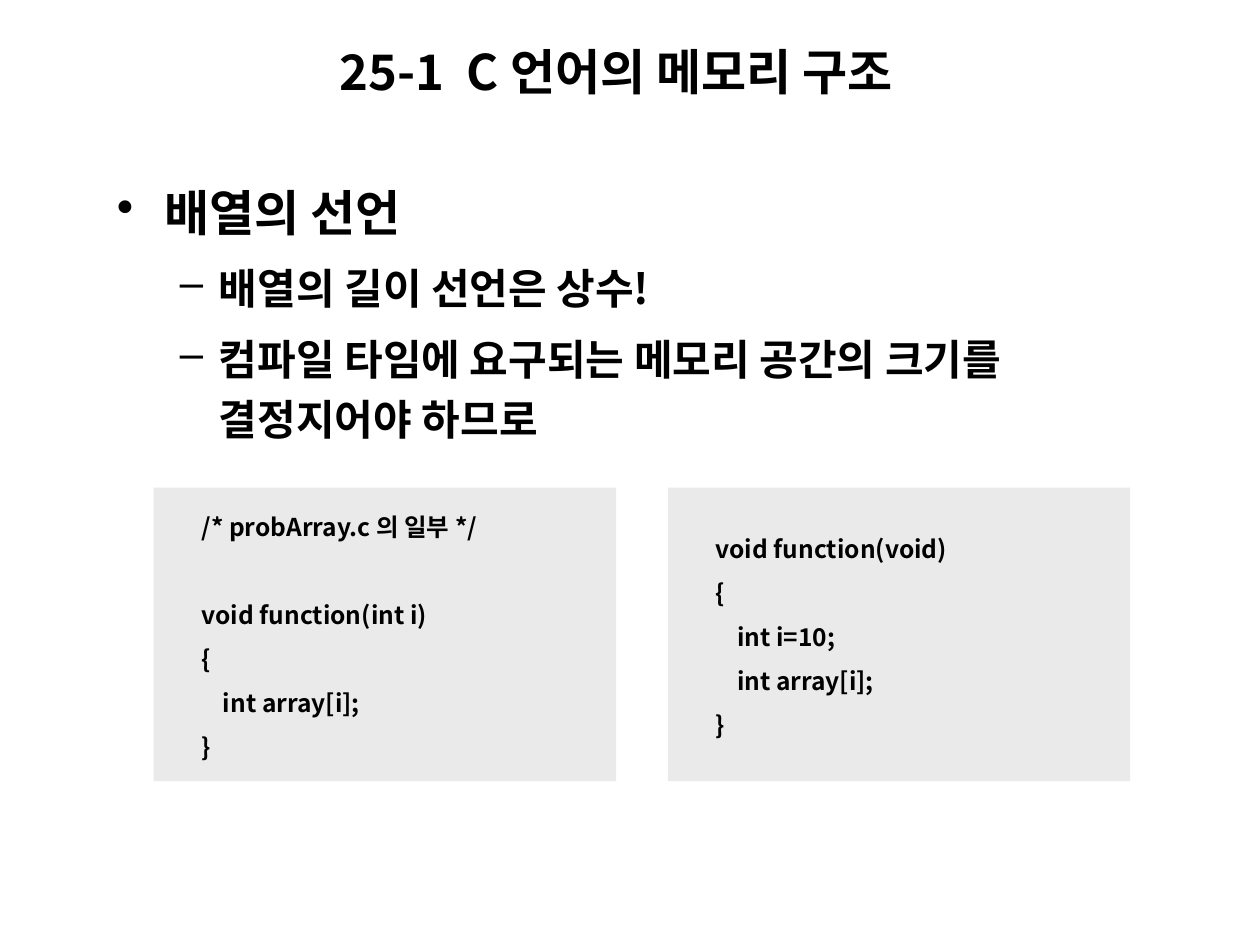
from pptx import Presentation
from pptx.dml.color import RGBColor
from pptx.enum.shapes import MSO_SHAPE
from pptx.enum.text import MSO_ANCHOR, PP_ALIGN
from pptx.oxml.ns import qn
from pptx.util import Inches, Pt
from lxml import etree

BLACK = RGBColor(0x00, 0x00, 0x00)
GRAY = RGBColor(0xEA, 0xEA, 0xEA)
FONT = "Noto Sans CJK KR"


def write(p, text, size, **fmt):
    """Fill a paragraph with bold text and set its format values."""
    p.text = text
    p.alignment = PP_ALIGN.LEFT
    for name, value in fmt.items():
        setattr(p, name, value)
    for r in p.runs:
        for name, value in dict(size=Pt(size), bold=True, name=FONT).items():
            setattr(r.font, name, value)
        r.font.color.rgb = BLACK
        etree.SubElement(r._r.get_or_add_rPr(), qn("a:ea"), typeface=FONT)


def indent(p, left, hanging=0, bullet=None):
    """Set the left margin and, if given, a hanging bullet."""
    pPr = p._p.get_or_add_pPr()
    pPr.set("marL", str(Inches(left)))
    pPr.set("indent", str(Inches(-hanging)))
    if bullet:
        color = etree.SubElement(pPr, qn("a:buClr"))
        etree.SubElement(color, qn("a:srgbClr"), val=str(BLACK))
        etree.SubElement(pPr, qn("a:buChar"), char=bullet)


prs = Presentation()
prs.slide_width, prs.slide_height = Inches(10), Inches(7.5)
s = prs.slides.add_slide(prs.slide_layouts[6])

# Bulleted list
tf = s.shapes.add_textbox(Inches(0.83), Inches(1.31), Inches(8.5), Inches(2.27)).text_frame
tf.word_wrap = True
points = [
    ("배열의 선언", 28, 0, 7, 0.38, 0.38, "•"),
    ("배열의 길이 선언은 상수!", 24, 1, 6, 0.81, 0.31, "–"),
    ("컴파일 타임에 요구되는 메모리 공간의 크기를 \v결정지어야 하므로", 24, 1, 6, 0.81, 0.31, "–"),
]
for i, (text, size, level, before, left, hanging, bullet) in enumerate(points):
    p = tf.add_paragraph() if i else tf.paragraphs[0]
    write(p, text, size, level=level, line_spacing=1.2, space_before=Pt(before))
    indent(p, left, hanging, bullet)

# Code panels: text, left indent, space before in points
panels = [
    [("/* probArray.c 의 일부 */", 0, 0), ("void function(int i)", 0, 25),
     ("{", 0, 0), ("int array[i];", 0.17, 0), ("}", 0, 0)],
    [("void function(void)", 0, 0), ("{", 0, 0), ("int i=10;", 0.17, 0),
     ("int array[i];", 0.17, 0), ("}", 0, 0)],
]
for col, lines in enumerate(panels):
    sp = s.shapes.add_shape(MSO_SHAPE.RECTANGLE, Inches(1.22 + 4.08 * col), Inches(3.87),
                            Inches(3.67), Inches(2.33))
    sp.shadow.inherit = False
    sp.fill.solid()
    sp.fill.fore_color.rgb = GRAY
    sp.line.fill.background()
    tf = sp.text_frame
    frame = dict(word_wrap=True, vertical_anchor=MSO_ANCHOR.MIDDLE,
                 margin_left=Inches(0.38), margin_top=Inches(0.13),
                 margin_right=Inches(0.1), margin_bottom=Inches(0.21))
    for name, value in frame.items():
        setattr(tf, name, value)
    for i, (text, left, before) in enumerate(lines):
        p = tf.add_paragraph() if i else tf.paragraphs[0]
        write(p, text, 14, line_spacing=1.5, space_before=Pt(before))
        indent(p, left)

# Title
tf = s.shapes.add_textbox(Inches(2.6), Inches(0.28), Inches(5.23), Inches(0.57)).text_frame
tf.word_wrap = True
tf.vertical_anchor = MSO_ANCHOR.MIDDLE
write(tf.paragraphs[0], "25-1  C 언어의 메모리 구조", 28)

prs.save("out.pptx")
